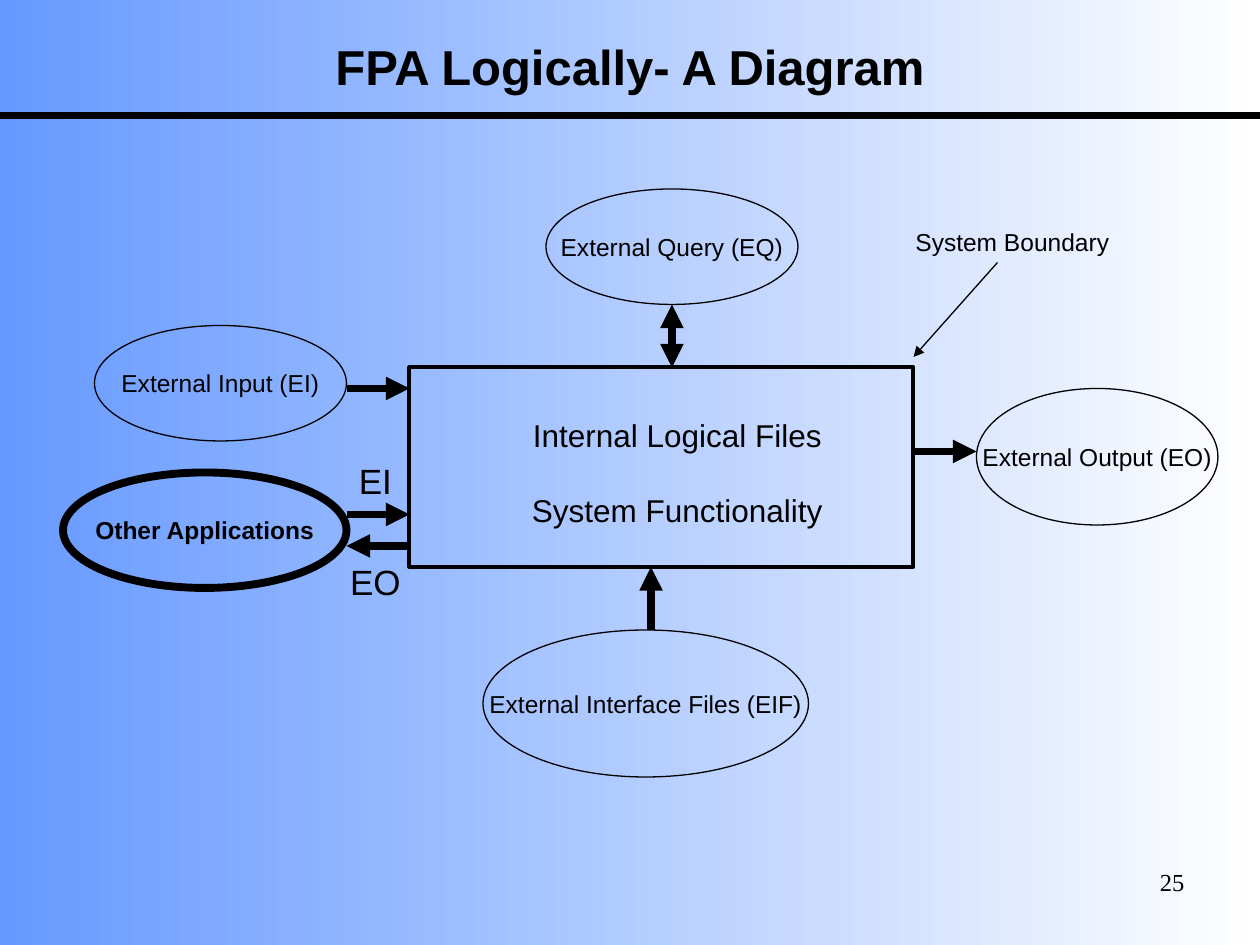
from lxml.etree import SubElement
from pptx import Presentation
from pptx.dml.color import RGBColor
from pptx.enum.shapes import MSO_CONNECTOR as Connector, MSO_SHAPE as Shape
from pptx.enum.text import MSO_ANCHOR as Anchor, MSO_AUTO_SIZE as AutoSize, PP_ALIGN as Align
from pptx.oxml.ns import qn
from pptx.util import Pt

BLACK = "000000"
THIN, THICK = 0.75, 4.5


def color(hex_string):
    return RGBColor.from_string(hex_string)


def points(*lengths):
    return [Pt(length) for length in lengths]


def set_text(shape, text, size, bold=False, font="Arial", align=Align.CENTER, gap=0):
    """Fill a shape with one paragraph per line, with a gap before each later one."""
    frame = shape.text_frame
    frame.text = text
    for index, paragraph in enumerate(frame.paragraphs):
        paragraph.alignment = align
        paragraph.space_before = Pt(gap if index else 0)
        for run in paragraph.runs:
            run.font.name = font
            run.font.size = Pt(size)
            run.font.bold = bold
            run.font.color.rgb = color(BLACK)


def set_background(slide):
    fill = slide.background.fill
    fill.gradient()
    fill.gradient_angle = 0
    for stop, hex_string in zip(fill.gradient_stops, ("6699FF", "FFFFFF")):
        stop.color.rgb = color(hex_string)


def add_title(slide, text):
    title = slide.shapes.title
    title.left, title.top, title.width, title.height = points(36, 15.5, 648, 44.5)
    set_text(title, text, 28, bold=True)
    title.text_frame.vertical_anchor = Anchor.MIDDLE


def add_label(slide, text, box, size, wrap=False, **style):
    """Add a text box; one that does not wrap grows to fit its text."""
    label = slide.shapes.add_textbox(*points(*box))
    label.text_frame.word_wrap = wrap
    label.text_frame.auto_size = AutoSize.NONE if wrap else AutoSize.SHAPE_TO_FIT_TEXT
    set_text(label, text, size, **style)


def add_outline(slide, kind, box, weight):
    shape = slide.shapes.add_shape(kind, *points(*box))
    shape.shadow.inherit = False
    shape.fill.background()
    shape.line.color.rgb = color(BLACK)
    shape.line.width = Pt(weight)
    return shape


def add_entity(slide, text, box, weight=THIN, bold=False):
    ellipse = add_outline(slide, Shape.OVAL, box, weight)
    set_text(ellipse, text, 14, bold)
    ellipse.text_frame.word_wrap = False
    ellipse.text_frame.vertical_anchor = Anchor.MIDDLE


def add_line(slide, start, end, weight=THICK, arrowheads=()):
    """Draw a line; arrowheads may name headEnd (start) and tailEnd (end)."""
    line = slide.shapes.add_connector(Connector.STRAIGHT, *points(*start, *end))
    line.line.color.rgb = color(BLACK)
    line.line.width = Pt(weight)
    properties = line.element.spPr
    for name in arrowheads:
        SubElement(properties.find(qn("a:ln")), qn(f"a:{name}"), type="triangle")
    SubElement(properties, qn("a:effectLst"))


def add_system(slide):
    add_outline(slide, Shape.RECTANGLE, (234, 210, 288, 114), 2.25)
    add_label(slide, "Internal Logical Files\nSystem Functionality",
              (288, 234, 198, 72), 18, wrap=True, gap=21.5)
    add_label(slide, "System Boundary", (515.5, 126, 126, 24.5), 14)
    add_line(slide, (570, 150), (522, 204), THIN, ["tailEnd"])


def add_entities(slide):
    add_entity(slide, "External Interface Files (EIF)", (276, 360, 186, 84))
    add_entity(slide, "External Input (EI)", (54, 186, 144, 66))
    add_entity(slide, "External Output (EO)", (558, 222, 138, 78))
    add_entity(slide, "External Query (EQ)", (312, 108, 144, 66))
    add_entity(slide, "Other Applications", (36, 270, 162, 66), THICK, bold=True)


def add_flows(slide):
    one_way = [
        ((522, 258), (558, 258)),
        ((198, 222), (234, 222)),
        ((372, 360), (372, 324)),
        ((198, 294), (234, 294)),
        ((234, 312), (198, 312)),
    ]
    for start, end in one_way:
        add_line(slide, start, end, arrowheads=["tailEnd"])
    add_line(slide, (384, 174), (384, 210), arrowheads=["headEnd", "tailEnd"])
    add_label(slide, "EI", (197.5, 259, 34, 31.5), 20)
    add_label(slide, "EO", (192.5, 317, 44, 31.5), 20)


def main():
    presentation = Presentation()
    presentation.slide_width, presentation.slide_height = points(720, 540)
    slide = presentation.slides.add_slide(presentation.slide_layouts[5])
    set_background(slide)
    add_line(slide, (0, 66), (720, 66))
    add_title(slide, "FPA Logically- A Diagram")
    add_system(slide)
    add_entities(slide)
    add_flows(slide)
    add_label(slide, "25", (498, 492, 186, 37.5), 14, wrap=True,
              font="Times New Roman", align=Align.RIGHT)
    presentation.save("out.pptx")


if __name__ == "__main__":
    main()
